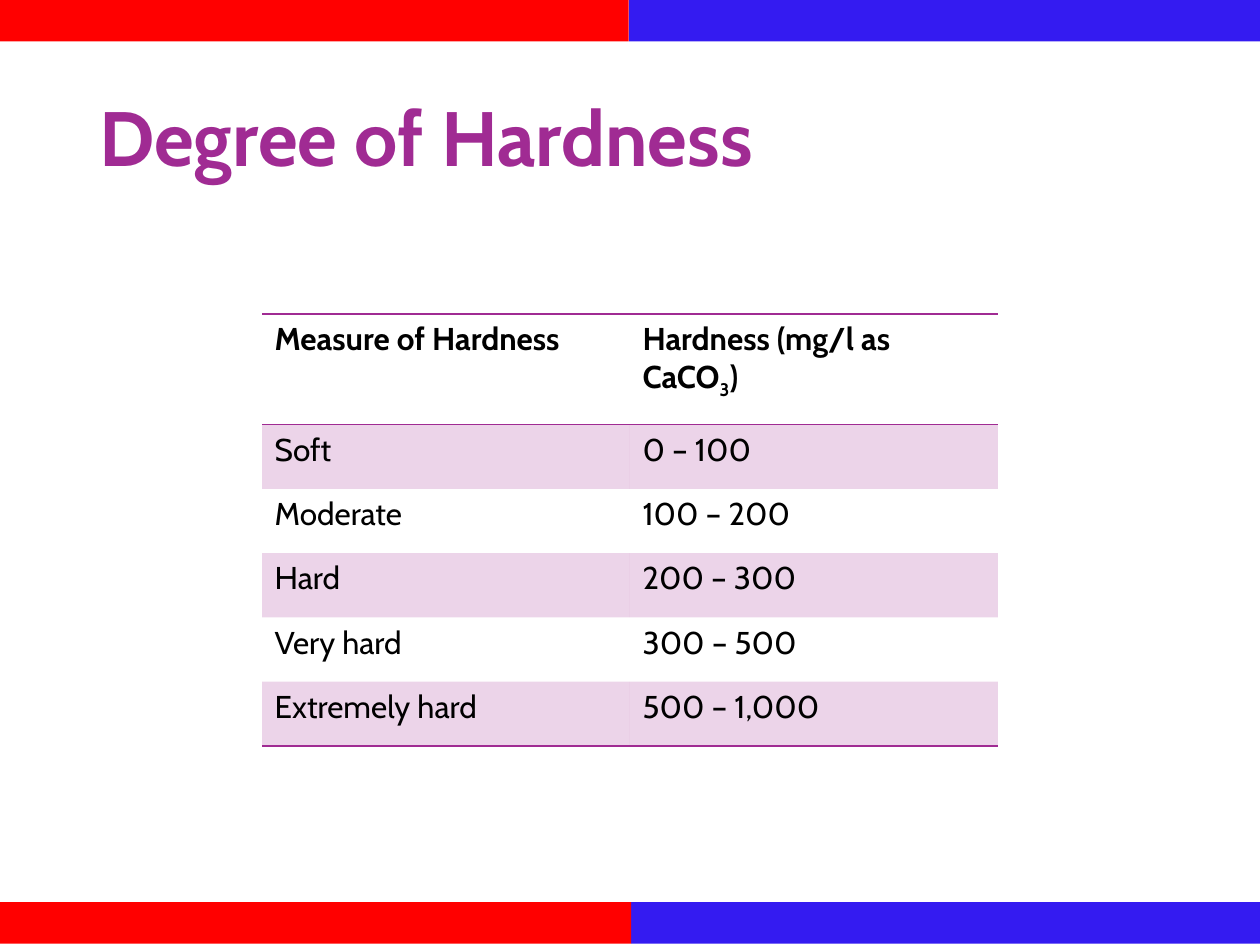
from lxml import etree
from pptx import Presentation
from pptx.dml.color import RGBColor
from pptx.enum.shapes import MSO_SHAPE
from pptx.enum.text import MSO_ANCHOR
from pptx.oxml.ns import qn
from pptx.util import Inches, Pt

RECTANGLE = MSO_SHAPE.RECTANGLE
MIDDLE = MSO_ANCHOR.MIDDLE

# Content: each cell is a list of (text, is_subscript) runs
TITLE = "Degree of Hardness"
HEADER = [
    [("Measure of Hardness", False)],
    [("Hardness (mg/l as CaCO", False), ("3", True), (")", False)],
]
DEGREES = [
    ("Soft", "0 – 100"),
    ("Moderate", "100 – 200"),
    ("Hard", "200 – 300"),
    ("Very hard", "300 – 500"),
    ("Extremely hard", "500 – 1,000"),
]
ROWS = [HEADER] + [[[(text, False)] for text in degree] for degree in DEGREES]

FONT = "Cabin"
PURPLE, BLACK, RED, BLUE = "A02B93", "000000", "FF0000", "341BF1"
BAND_WIDTH, BAND_HEIGHT = 5.01, 0.33
BANDS = [(4.99, 0, BLUE), (-0.02, 0, RED), (5.01, 7.16, BLUE), (0, 7.16, RED)]
COLUMN_WIDTH, HEADER_HEIGHT, ROW_HEIGHT = 2.92, 0.88, 0.51
NO_GRID_STYLE = "{2D5ABB26-0587-4C30-8999-92F81FD0307C}"


def color(hex_string):
    return RGBColor.from_string(hex_string)


def add_run(paragraph, text, size, hex_string, bold):
    run = paragraph.add_run()
    run.text = text
    run.font.name = FONT
    run.font.size = Pt(size)
    run.font.bold = bold
    run.font.color.rgb = color(hex_string)
    return run


def add_border(cell, side):
    properties = cell._tc.get_or_add_tcPr()
    line = etree.SubElement(properties, qn(f"a:{side}"), w=str(Pt(1)))
    fill = etree.SubElement(line, qn("a:solidFill"))
    etree.SubElement(fill, qn("a:srgbClr"), val=PURPLE)


def fill_cell(cell, opacity):
    cell.fill.solid()
    cell.fill.fore_color.rgb = color(PURPLE)
    shade = cell._tc.tcPr.find(qn("a:solidFill")).find(qn("a:srgbClr"))
    etree.SubElement(shade, qn("a:alpha"), val=str(opacity * 1000))


presentation = Presentation()
presentation.slide_width = Inches(10)
presentation.slide_height = Inches(7.5)
slide = presentation.slides.add_slide(presentation.slide_layouts[6])

# Red and blue bands along the top and bottom
for left, top, hex_string in BANDS:
    band = slide.shapes.add_shape(
        RECTANGLE, Inches(left), Inches(top), Inches(BAND_WIDTH), Inches(BAND_HEIGHT)
    )
    band.shadow.inherit = False
    band.fill.solid()
    band.fill.fore_color.rgb = color(hex_string)
    band.line.fill.background()

# Hardness table
table_height = HEADER_HEIGHT + len(DEGREES) * ROW_HEIGHT
table_frame = slide.shapes.add_table(
    len(ROWS), len(HEADER), Inches(2.08), Inches(2.49),
    Inches(COLUMN_WIDTH * len(HEADER)), Inches(table_height),
)
table = table_frame.table
table._tbl.tblPr.find(qn("a:tableStyleId")).text = NO_GRID_STYLE
for column in table.columns:
    column.width = Inches(COLUMN_WIDTH)

for row_index, row in enumerate(ROWS):
    is_header = row_index == 0
    table.rows[row_index].height = Inches(HEADER_HEIGHT if is_header else ROW_HEIGHT)
    for column_index, runs in enumerate(row):
        cell = table.cell(row_index, column_index)
        for text, is_subscript in runs:
            run = add_run(cell.text_frame.paragraphs[0], text, 18, BLACK, is_header)
            if is_subscript:
                run._r.get_or_add_rPr().set("baseline", "-25000")
        if is_header:
            add_border(cell, "lnT")
        if is_header or row_index == len(ROWS) - 1:
            add_border(cell, "lnB")
        if row_index % 2:
            fill_cell(cell, 20)
        else:
            cell.fill.background()

# Title
title = slide.shapes.add_textbox(Inches(0.69), Inches(0.4), Inches(8.62), Inches(1.45))
title.text_frame.word_wrap = True
title.text_frame.vertical_anchor = MIDDLE
title_paragraph = title.text_frame.paragraphs[0]
title_paragraph.line_spacing = 0.9
add_run(title_paragraph, TITLE, 44, PURPLE, True)

presentation.save("out.pptx")
